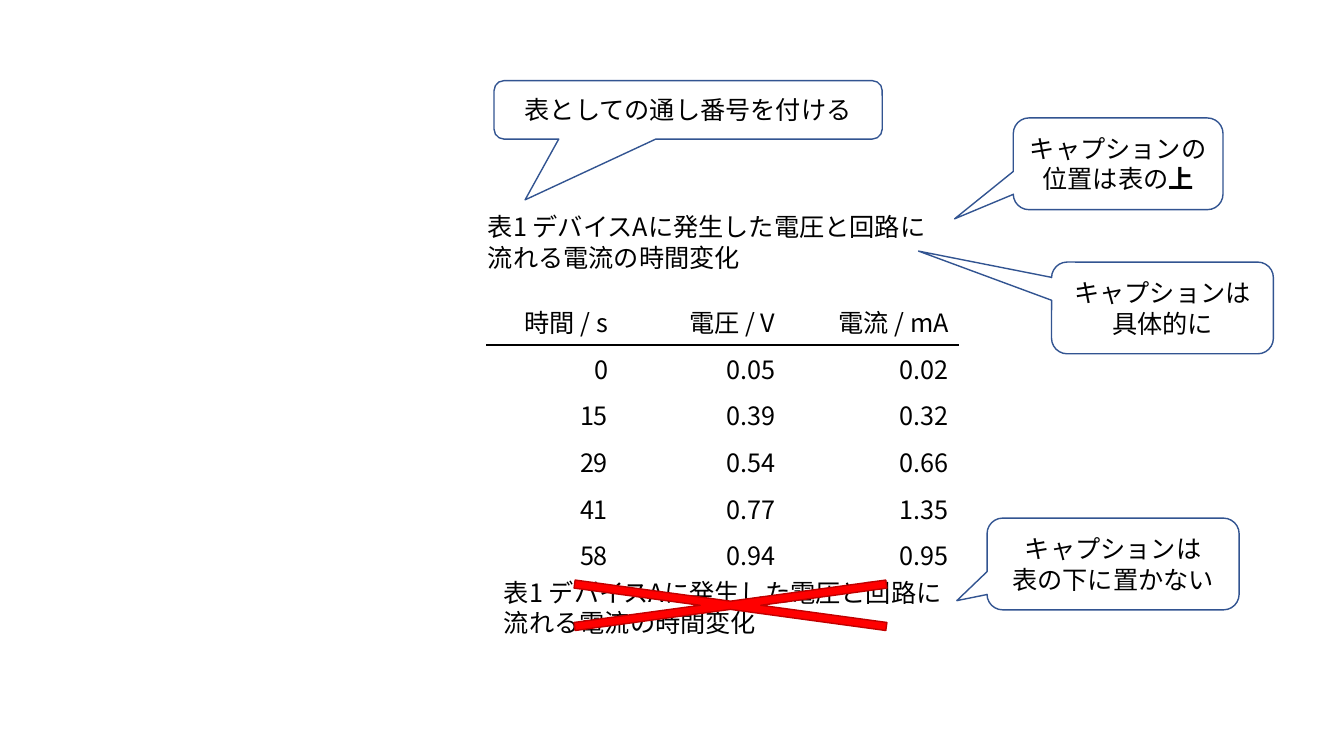
from lxml import etree
from pptx import Presentation
from pptx import util as u
from pptx.dml.color import RGBColor
from pptx.enum import shapes, text
from pptx.oxml import ns

PX = 9144
FONT = "Noto Sans CJK JP"
CAPTION = "表1 デバイスAに発生した電圧と回路に流れる電流の時間変化"
MEASUREMENTS = [
    ("時間 / s", "電圧 / V", "電流 / mA"),
    ("0", "0.05", "0.02"),
    ("15", "0.39", "0.32"),
    ("29", "0.54", "0.66"),
    ("41", "0.77", "1.35"),
    ("58", "0.94", "0.95"),
]


def color(value):
    return RGBColor.from_string(value)


def write(frame, content, bold_tail="", align=None, size=18, ink="000000"):
    paragraph = frame.paragraphs[0]
    paragraph.text = content
    paragraph.alignment = align
    if bold_tail:
        paragraph.add_run().text = bold_tail
    for run in paragraph.runs:
        run.font.name = FONT
        run.font.size = u.Pt(size)
        run.font.bold = run.text == bold_tail
        run.font.color.rgb = color(ink)
        latin = run.font._element.find(ns.qn("a:latin"))
        east_asian = etree.Element(ns.qn("a:ea"), typeface=FONT)
        latin.addnext(east_asian)


def set_borders(cell, top, bottom):
    properties = cell._tc.get_or_add_tcPr()
    sides = {"lnL": "FFFFFF", "lnR": "FFFFFF", "lnT": top, "lnB": bottom}
    for index, (side, value) in enumerate(sides.items()):
        line = etree.Element(ns.qn(f"a:{side}"), w=str(u.Pt(1)))
        fill = etree.SubElement(line, ns.qn("a:solidFill"))
        etree.SubElement(fill, ns.qn("a:srgbClr"), val=value)
        properties.insert(index, line)


class CaptionSlide:
    """Draws styled elements on one slide, with lengths in px."""

    def __init__(self, presentation):
        self.slide = presentation.slides.add_slide(presentation.slide_layouts[6])
        self.outline = "325491"

    def place(self, *box):
        return [length * PX for length in box]

    def shape(self, kind, box, adjustments, outline, fill=None):
        shape = self.slide.shapes.add_shape(kind, *self.place(*box))
        shape.shadow.inherit = False
        for index, value in enumerate(adjustments):
            shape.adjustments[index] = value
        if fill:
            shape.fill.solid()
            shape.fill.fore_color.rgb = color(fill)
        else:
            shape.fill.background()
        shape.line.color.rgb = color(outline)
        shape.line.width = u.Pt(1)
        return shape

    def callout(self, box, tip, content, bold_tail=""):
        kind = shapes.MSO_SHAPE.ROUNDED_RECTANGULAR_CALLOUT
        shape = self.shape(kind, box, (*tip, 0.17), self.outline)
        frame = shape.text_frame
        frame.word_wrap = True
        frame.vertical_anchor = text.MSO_ANCHOR.MIDDLE
        write(frame, content, bold_tail, align=text.PP_ALIGN.CENTER)

    def caption(self, left, top):
        box = self.slide.shapes.add_textbox(*self.place(left, top, 468, 71))
        box.text_frame.word_wrap = True
        box.text_frame.auto_size = text.MSO_AUTO_SIZE.SHAPE_TO_FIT_TEXT
        write(box.text_frame, CAPTION)

    def table(self, left, top, widths, row_height, rows):
        box = self.place(left, top, sum(widths), row_height * len(rows))
        table = self.slide.shapes.add_table(len(rows), len(widths), *box).table
        table.first_row = False
        table.horz_banding = False
        for column, width in zip(table.columns, widths):
            column.width = width * PX
        for row, values in enumerate(rows):
            for column, value in enumerate(values):
                cell = table.cell(row, column)
                cell.fill.background()
                write(cell.text_frame, value, align=text.PP_ALIGN.RIGHT)
                top_color = "000000" if row == 1 else "FFFFFF"
                bottom_color = "000000" if row == 0 else "FFFFFF"
                set_borders(cell, top_color, bottom_color)


def main():
    presentation = Presentation()
    presentation.slide_width = 1333 * PX
    presentation.slide_height = 750 * PX
    page = CaptionSlide(presentation)
    page.table(483, 296, (130, 166, 172), 41, MEASUREMENTS)
    page.caption(474, 205)
    page.callout((1005, 117, 208, 91), (-0.78, 0.6), "キャプションの位置は表の", "上")
    page.caption(490, 568)
    page.shape(shapes.MSO_SHAPE.MATH_MULTIPLY, (427, 560, 595, 81), (0.1,), "C00000", "FF0000")
    page.callout((979, 514, 250, 91), (-0.62, 0.4), "キャプションは\v表の下に置かない")
    page.callout((490, 80, 385, 58), (-0.42, 1.54), "表としての通し番号を付ける")
    page.callout((1043, 260, 220, 91), (-1.1, -0.62), "キャプションは具体的に")
    presentation.save("out.pptx")


if __name__ == "__main__":
    main()
